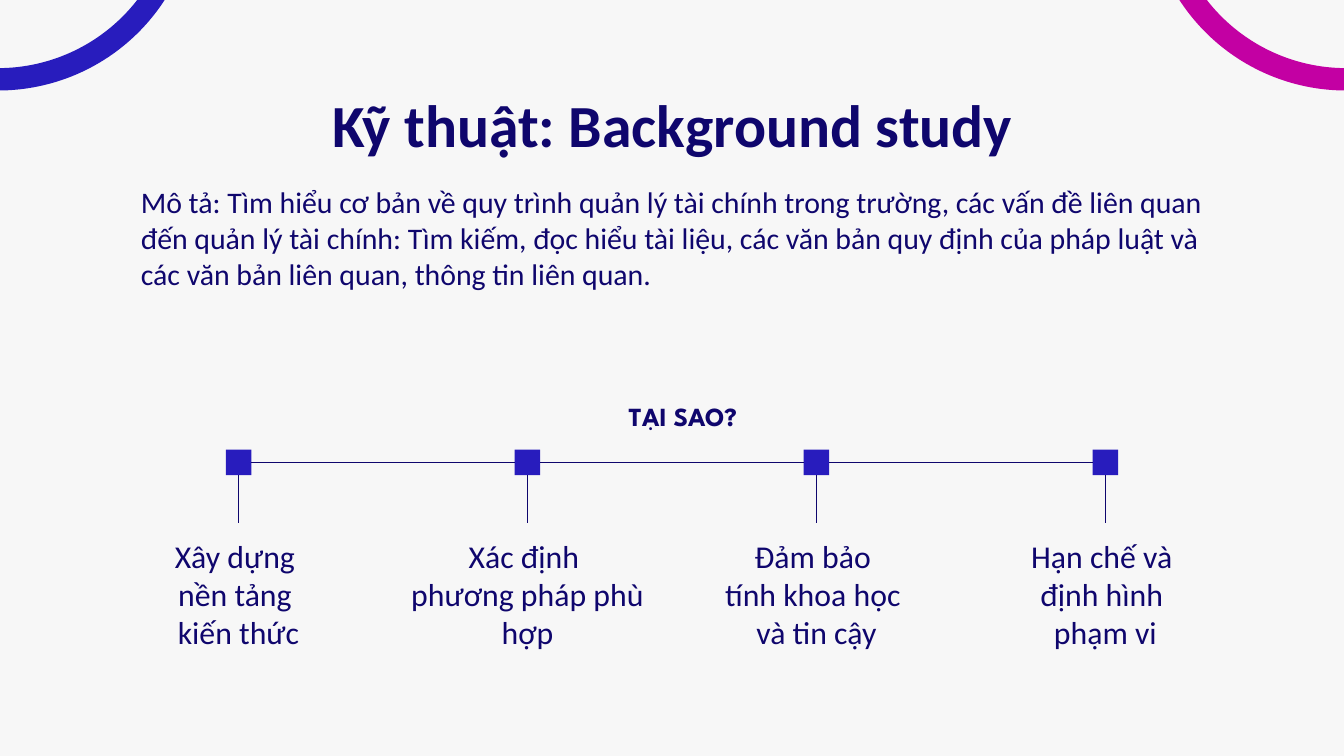
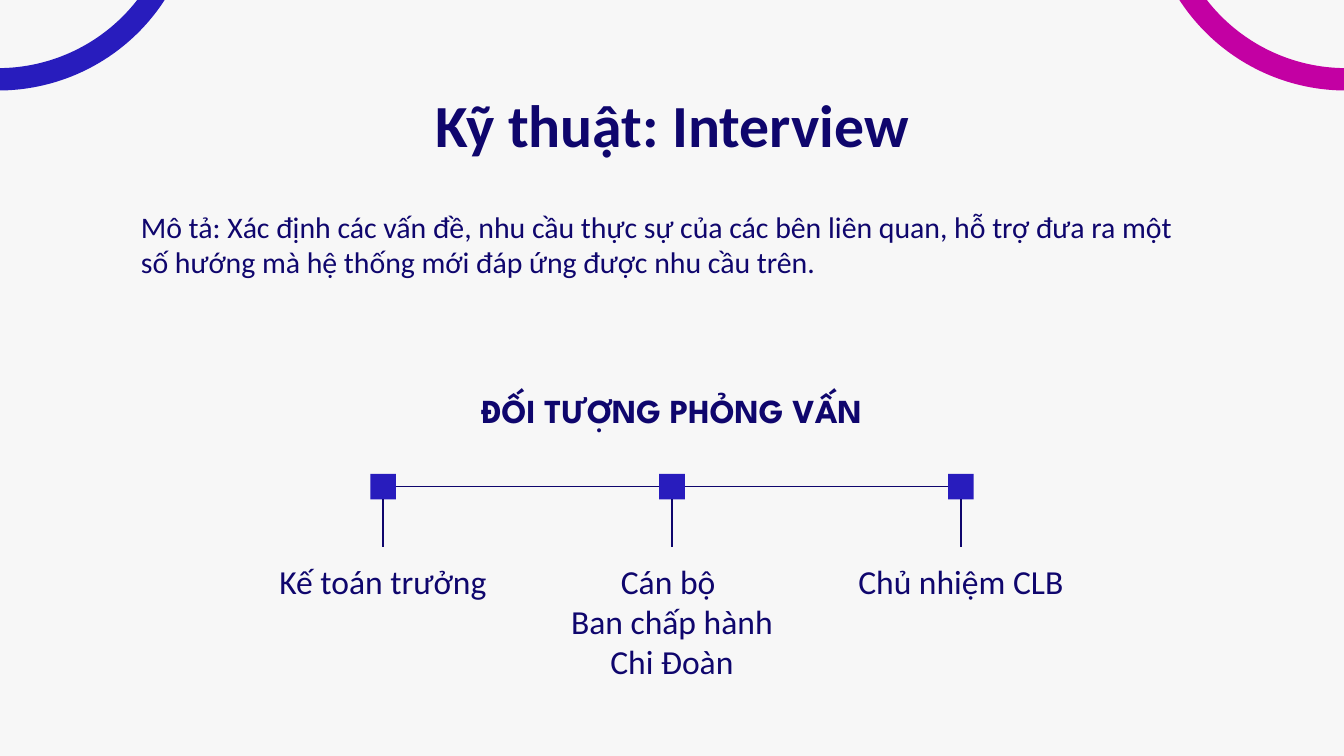
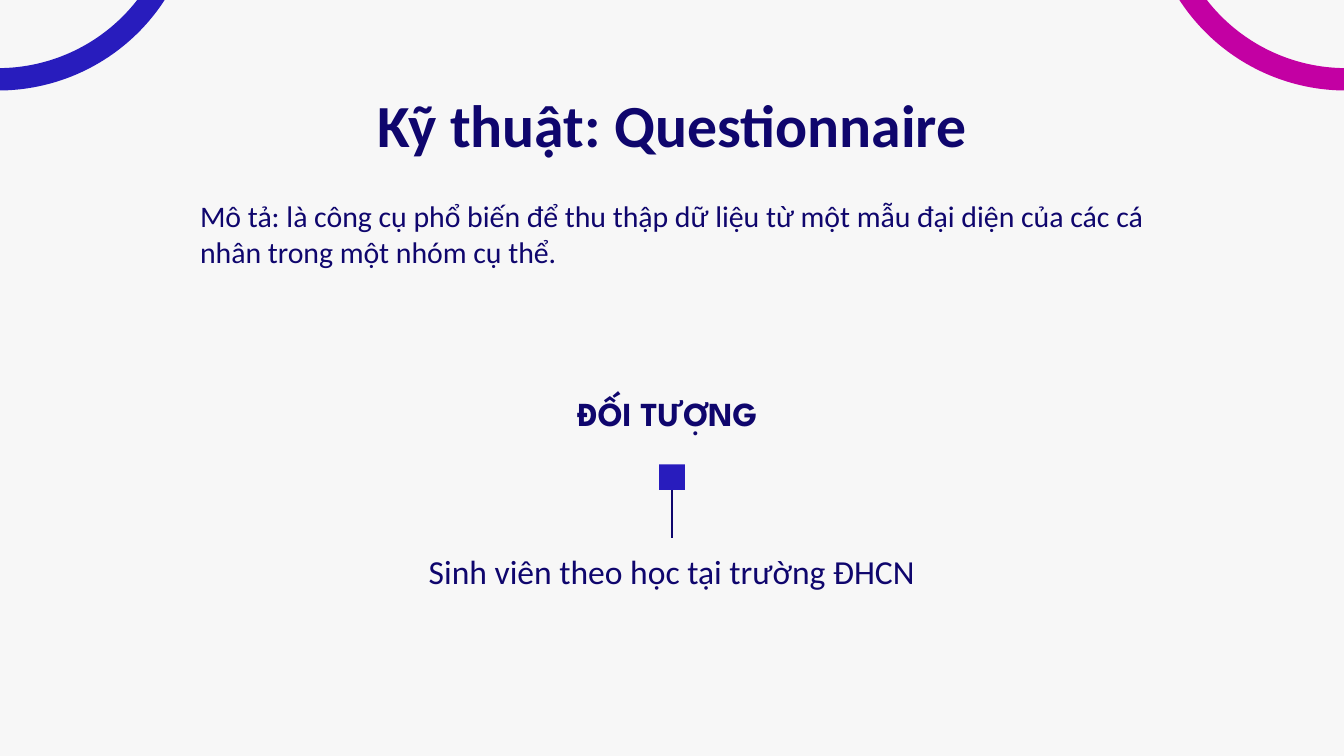
import pptx
import pptx.dml.color
import pptx.enum.shapes
import pptx.enum.text
import pptx.util
from lxml import etree
from pptx.oxml.ns import qn

Inches = pptx.util.Inches
RGBColor = pptx.dml.color.RGBColor
PP_ALIGN = pptx.enum.text.PP_ALIGN
MSO_SHAPE = pptx.enum.shapes.MSO_SHAPE

BACKGROUND = RGBColor(0xF7, 0xF7, 0xF7)
BLUE = RGBColor(0x28, 0x1C, 0xBD)
MAGENTA = RGBColor(0xC3, 0x00, 0xA3)
NAVY = RGBColor(0x0F, 0x06, 0x6D)

BODY_FONT = "Calibri"
HEADING_FONT = "League Spartan"

SLIDE_WIDTH = 10
SLIDE_HEIGHT = SLIDE_WIDTH * 9 / 16
MARKER_SIZE = 0.19
COLUMN_STEP = 2.15
LABEL_DROP = 0.45
LABEL_HEIGHT = 0.88
RING_SIZE = 2.79
RING_TOP = -2.2


def format_text(shape, text, size, font_name, bold, alignment):
    frame = shape.text_frame
    frame.word_wrap = True
    frame.auto_size = pptx.enum.text.MSO_AUTO_SIZE.NONE
    frame.vertical_anchor = pptx.enum.text.MSO_ANCHOR.TOP
    frame.margin_left = frame.margin_right = Inches(0.1)
    frame.margin_top = frame.margin_bottom = Inches(0.1)
    paragraph = frame.paragraphs[0]
    paragraph.text = text
    paragraph.alignment = alignment
    paragraph.font.size = pptx.util.Pt(size)
    paragraph.font.name = font_name
    paragraph.font.bold = bold
    paragraph.font.color.rgb = NAVY


def add_text(slide, box, text, size, font_name=BODY_FONT, bold=False,
             alignment=PP_ALIGN.CENTER):
    shape = slide.shapes.add_textbox(*map(Inches, box))
    format_text(shape, text, size, font_name, bold, alignment)
    return shape


def add_ring(slide, left, color):
    ring = slide.shapes.add_shape(
        MSO_SHAPE.OVAL, Inches(left), Inches(RING_TOP),
        Inches(RING_SIZE), Inches(RING_SIZE))
    ring.shadow.inherit = False
    ring.fill.background()
    ring.line.color.rgb = color
    ring.line.width = pptx.util.Pt(12)


def add_marker(slide, center_x, center_y):
    marker = slide.shapes.add_shape(
        MSO_SHAPE.RECTANGLE,
        Inches(center_x - MARKER_SIZE / 2), Inches(center_y - MARKER_SIZE / 2),
        Inches(MARKER_SIZE), Inches(MARKER_SIZE))
    marker.shadow.inherit = False
    marker.fill.solid()
    marker.fill.fore_color.rgb = BLUE
    marker.line.fill.background()
    return marker


def join(slide, start, start_side, end, end_side):
    connector = slide.shapes.add_connector(
        pptx.enum.shapes.MSO_CONNECTOR.STRAIGHT, 0, 0, 0, 0)
    connector.begin_connect(start, start_side)
    connector.end_connect(end, end_side)
    connector.line.color.rgb = NAVY
    connector.line.width = pptx.util.Pt(0.75)
    etree.SubElement(connector._element.spPr, qn("a:effectLst"))


def add_timeline(slide, center_y, labels, size, label_width=2):
    previous = None
    for index, text in enumerate(labels):
        center_x = SLIDE_WIDTH / 2 + (index - (len(labels) - 1) / 2) * COLUMN_STEP
        marker = add_marker(slide, center_x, center_y)
        label_box = (center_x - label_width / 2, center_y + LABEL_DROP,
                     label_width, LABEL_HEIGHT)
        label = add_text(slide, label_box, text, size)
        join(slide, marker, 2, label, 0)
        if previous is not None:
            join(slide, previous, 3, marker, 1)
        previous = marker


def add_technique_slide(presentation, title_text, description, description_box):
    slide = presentation.slides.add_slide(presentation.slide_layouts[5])
    add_ring(slide, -1.41, BLUE)
    add_ring(slide, 8.62, MAGENTA)
    title = slide.shapes.title
    title.left, title.top = Inches(0.79), Inches(0.55)
    title.width, title.height = Inches(8.43), Inches(0.63)
    format_text(title, title_text, 32, BODY_FONT, True, PP_ALIGN.CENTER)
    add_text(slide, description_box, description, 16, alignment=PP_ALIGN.LEFT)
    return slide


def add_heading(slide, box, text, size=18, alignment=PP_ALIGN.CENTER):
    add_text(slide, box, text, size, HEADING_FONT, True, alignment)


def main():
    presentation = pptx.Presentation()
    presentation.slide_width = Inches(SLIDE_WIDTH)
    presentation.slide_height = Inches(SLIDE_HEIGHT)
    background = presentation.slide_master.background.fill
    background.solid()
    background.fore_color.rgb = BACKGROUND

    study = add_technique_slide(
        presentation, "Kỹ thuật: Background study",
        "Mô tả: Tìm hiểu cơ bản về quy trình quản lý tài chính trong trường, "
        "các vấn đề liên quan đến quản lý tài chính: Tìm kiếm, đọc hiểu tài liệu, "
        "các văn bản quy định của pháp luật và các văn bản liên quan, "
        "thông tin liên quan.",
        (0.95, 1.27, 8.11, 0.79))
    add_heading(study, (4.58, 2.88, 1.07, 0.35), "TẠI SAO?", 14, PP_ALIGN.LEFT)
    add_timeline(study, 3.44, [
        "Xây dựng \vnền tảng \vkiến thức",
        "Xác định \vphương pháp phù hợp",
        "Đảm bảo \vtính khoa học \vvà tin cậy",
        "Hạn chế và \vđịnh hình \vphạm vi",
    ], 17)

    interview = add_technique_slide(
        presentation, "Kỹ thuật: Interview",
        "Mô tả: Xác định các vấn đề, nhu cầu thực sự của các bên liên quan, "
        "hỗ trợ đưa ra một số hướng mà hệ thống mới đáp ứng được nhu cầu trên.",
        (0.95, 1.45, 8.11, 0.79))
    add_heading(interview, (3.28, 2.8, 3.44, 0.35), "ĐỐI TƯỢNG PHỎNG VẤN")
    add_timeline(interview, 3.62, [
        "Kế toán trưởng",
        "Cán bộ \vBan chấp hành Chi Đoàn",
        "Chủ nhiệm CLB",
    ], 18)

    questionnaire = add_technique_slide(
        presentation, "Kỹ thuật: Questionnaire",
        "Mô tả: là công cụ phổ biến để thu thập dữ liệu từ một mẫu đại diện "
        "của các cá nhân trong một nhóm cụ thể.",
        (1.39, 1.37, 7.39, 0.79))
    add_heading(questionnaire, (4.02, 2.82, 1.96, 0.35), "ĐỐI TƯỢNG ")
    add_timeline(questionnaire, 3.55, ["Sinh viên theo học tại trường ĐHCN"], 18,
                 label_width=4.86)

    presentation.save("out.pptx")


if __name__ == "__main__":
    main()
